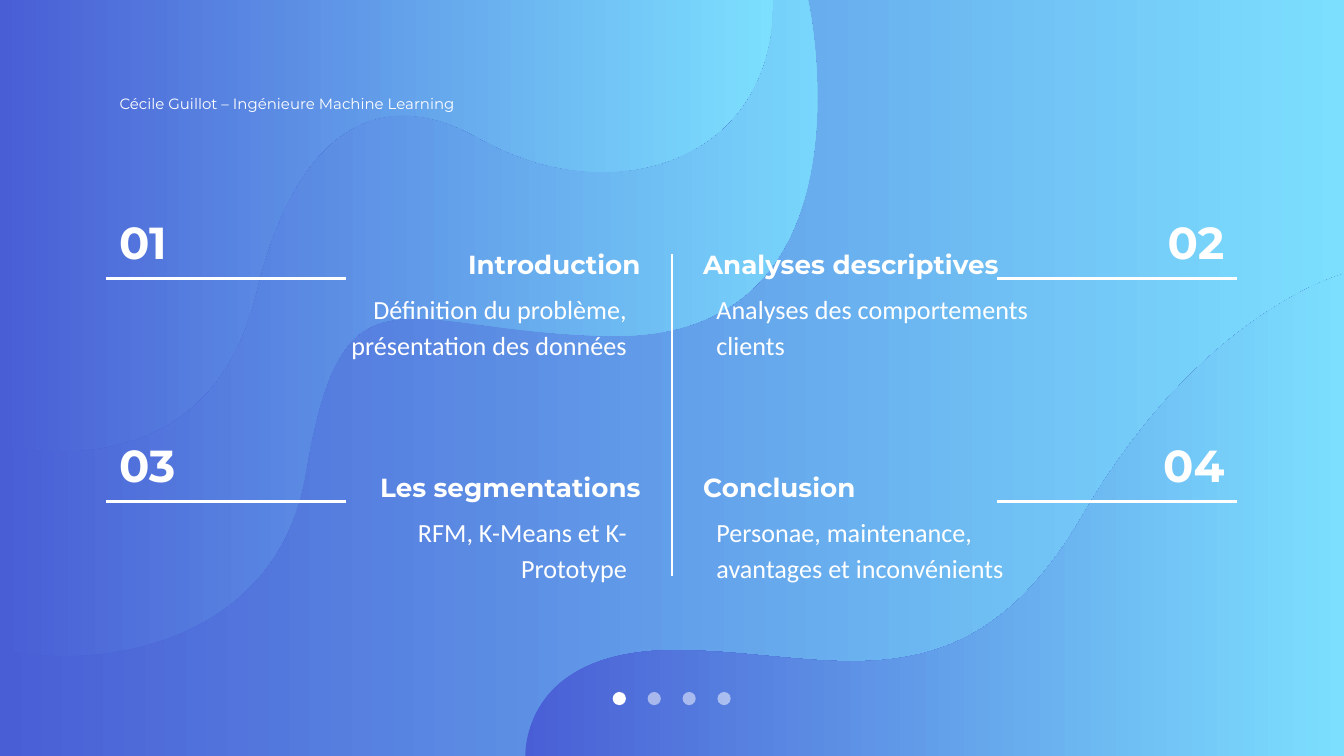
from lxml.etree import SubElement
from pptx import Presentation
from pptx.dml.color import RGBColor
from pptx.enum.shapes import MSO_CONNECTOR as Connector, MSO_SHAPE as Preset
from pptx.enum.text import MSO_ANCHOR as Anchor, PP_ALIGN as Align
from pptx.oxml.ns import qn
from pptx.util import Cm, Pt

WIDTH, HEIGHT = 25.4, 14.29
ROW_PITCH = 4.22

WAVES = [
    [(0, 0), [(0, 12.27)],
     [(0.33, 12.34), (0.74, 12.4), (1.19, 12.4)],
     [(2.95, 12.4), (5.31, 11.63), (5.77, 8.97)],
     [(6.17, 6.55), (6.71, 6.02), (7.82, 6.02)],
     [(8.66, 6.02), (9.83, 6.32), (11.53, 6.35)],
     [(11.56, 6.35), (11.61, 6.35), (11.63, 6.35)],
     [(16.66, 6.35), (15.27, 0), (15.27, 0)]],
    [(14.61, 0), [(0, 0)], [(0, 8.41)],
     [(0, 8.41), (0.48, 8.53), (1.14, 8.53)],
     [(2.39, 8.53), (4.22, 8.08), (4.83, 5.56)],
     [(5.46, 2.95), (6.58, 2.18), (7.62, 2.18)],
     [(8.13, 2.18), (8.61, 2.36), (9.02, 2.59)],
     [(9.78, 3.02), (10.59, 3.25), (11.38, 3.25)],
     [(13.11, 3.25), (14.61, 2.18), (14.61, 0)]],
    [(WIDTH, 5.18),
     [(WIDTH, 5.18), (22.73, 5.87), (20.47, 9.73)],
     [(19.13, 12.04), (17.68, 12.5), (16.1, 12.5)],
     [(15.04, 12.5), (13.92, 12.29), (12.75, 12.29)],
     [(9.83, 12.29), (9.93, HEIGHT), (9.93, HEIGHT)],
     [(WIDTH, HEIGHT)], [(WIDTH, 5.18)]],
]

SECTIONS = [
    ("01", "Introduction", "Définition du problème, présentation des données", 6.07),
    ("02", "Analyses descriptives", "Analyses des comportements clients", 6.65),
    ("03", "Les segmentations", "RFM, K-Means et K-Prototype", 5.56),
    ("04", "Conclusion", "Personae, maintenance, avantages et inconvénients", 6.43),
]


def color(value):
    return RGBColor.from_string(value)


def set_all(target, values):
    for name, value in values.items():
        setattr(target, name, value)


class AgendaSlide:
    WHITE = "FFFFFF"
    GRADIENT = ("495ED5", "7CDFFE")
    BODY = {"line_spacing": 1.15, "space_after": Pt(16)}
    STYLES = {
        "author": ({"name": "Montserrat", "size": Pt(8)}, BODY, Anchor.TOP, 0.25),
        "title": ({"name": "Montserrat", "size": Pt(14), "bold": True}, {}, Anchor.MIDDLE, 0),
        "body": ({"name": "Calibri", "size": Pt(14)}, BODY, Anchor.TOP, 0.25),
        "number": ({"name": "Montserrat", "size": Pt(24), "bold": True}, {}, Anchor.BOTTOM, 0.25),
    }

    def __init__(self, presentation):
        self.slide = presentation.slides.add_slide(presentation.slide_layouts[6])
        self.shapes = self.slide.shapes
        self.gradient(self.slide.background.fill)

    def gradient(self, fill):
        fill.gradient()
        fill.gradient_angle = 0
        for stop, value in zip(fill.gradient_stops, self.GRADIENT):
            stop.color.rgb = color(value)

    def wave(self, outline):
        start, *segments = outline
        builder = self.shapes.build_freeform(Cm(start[0]), Cm(start[1]))
        points = [(Cm(x), Cm(y)) for segment in segments for x, y in segment]
        builder.add_line_segments(points, close=True)
        shape = builder.convert_to_shape()
        self.bend(shape, segments)
        shape.shadow.inherit = False
        shape.line.fill.background()
        self.gradient(shape.fill)

    def bend(self, shape, segments):
        lines = iter(shape._element.findall(f".//{qn('a:lnTo')}"))
        for segment in segments:
            first, *others = [next(lines) for _ in segment]
            if others:
                first.tag = qn("a:cubicBezTo")
            for line in others:
                first.append(line[0])
                line.getparent().remove(line)

    def text(self, style, text, left, top, width, height, align=Align.LEFT):
        font, spacing, anchor, inset = self.STYLES[style]
        frame = self.shapes.add_textbox(Cm(left), Cm(top), Cm(width), Cm(height)).text_frame
        margins = {f"margin_{side}": Cm(inset) for side in ("left", "top", "right", "bottom")}
        set_all(frame, {"word_wrap": True, "vertical_anchor": anchor, **margins})
        paragraph = frame.paragraphs[0]
        set_all(paragraph, {"alignment": align, **spacing})
        run = paragraph.add_run()
        run.text = text
        set_all(run.font, font)
        run.font.color.rgb = color(self.WHITE)

    def rule(self, x1, y1, x2, y2):
        connector = self.shapes.add_connector(Connector.STRAIGHT, Cm(x1), Cm(y1), Cm(x2), Cm(y2))
        connector.line.width = Pt(1.5)
        connector.line.color.rgb = color(self.WHITE)
        SubElement(connector._element.spPr, qn("a:effectLst"))

    def dots(self, left, top, size, pitch, count):
        group = self.shapes.add_group_shape()
        for index in range(count):
            shape = group.shapes.add_shape(
                Preset.OVAL, Cm(left + index * pitch), Cm(top), Cm(size), Cm(size))
            shape.shadow.inherit = False
            shape.line.fill.background()
            shape.fill.solid()
            shape.fill.fore_color.rgb = color(self.WHITE)
            if index:
                fill_color = shape._element.spPr.find(f".//{qn('a:srgbClr')}")
                SubElement(fill_color, qn("a:alpha"), val="50000")

    def section(self, index, number, title, body, body_width):
        row, right_side = divmod(index, 2)
        shift = row * ROW_PITCH
        if right_side:
            number_left, title_left, body_left, rule_left = 20.55, 13.29, 13.29, 18.85
            number_align, text_align = Align.RIGHT, Align.LEFT
        else:
            number_left, title_left, body_left, rule_left = 2, 4.34, 12.1 - body_width, 2.01
            number_align, text_align = Align.LEFT, Align.RIGHT
        self.text("title", title, title_left, 4.41 + shift, 7.77, 1.17, text_align)
        self.text("body", body, body_left, 5.21 + shift, body_width, 1.8, text_align)
        self.rule(rule_left + 4.53, 5.26 + shift, rule_left, 5.26 + shift)
        self.text("number", number, number_left, 3.77 + shift, 2.84, 1.55, number_align)


def main():
    presentation = Presentation()
    set_all(presentation, {"slide_width": Cm(WIDTH), "slide_height": Cm(HEIGHT)})
    agenda = AgendaSlide(presentation)
    for outline in WAVES:
        agenda.wave(outline)
    agenda.text("author", "Cécile Guillot – Ingénieure Machine Learning", 2.01, 1.55, 7.26, 0.89)
    for index, section in enumerate(SECTIONS):
        agenda.section(index, *section)
    agenda.rule(WIDTH / 2, 4.8, WIDTH / 2, 10.89)
    agenda.dots(11.58, 13.08, 0.25, 0.66, 4)
    presentation.save("out.pptx")


if __name__ == "__main__":
    main()
